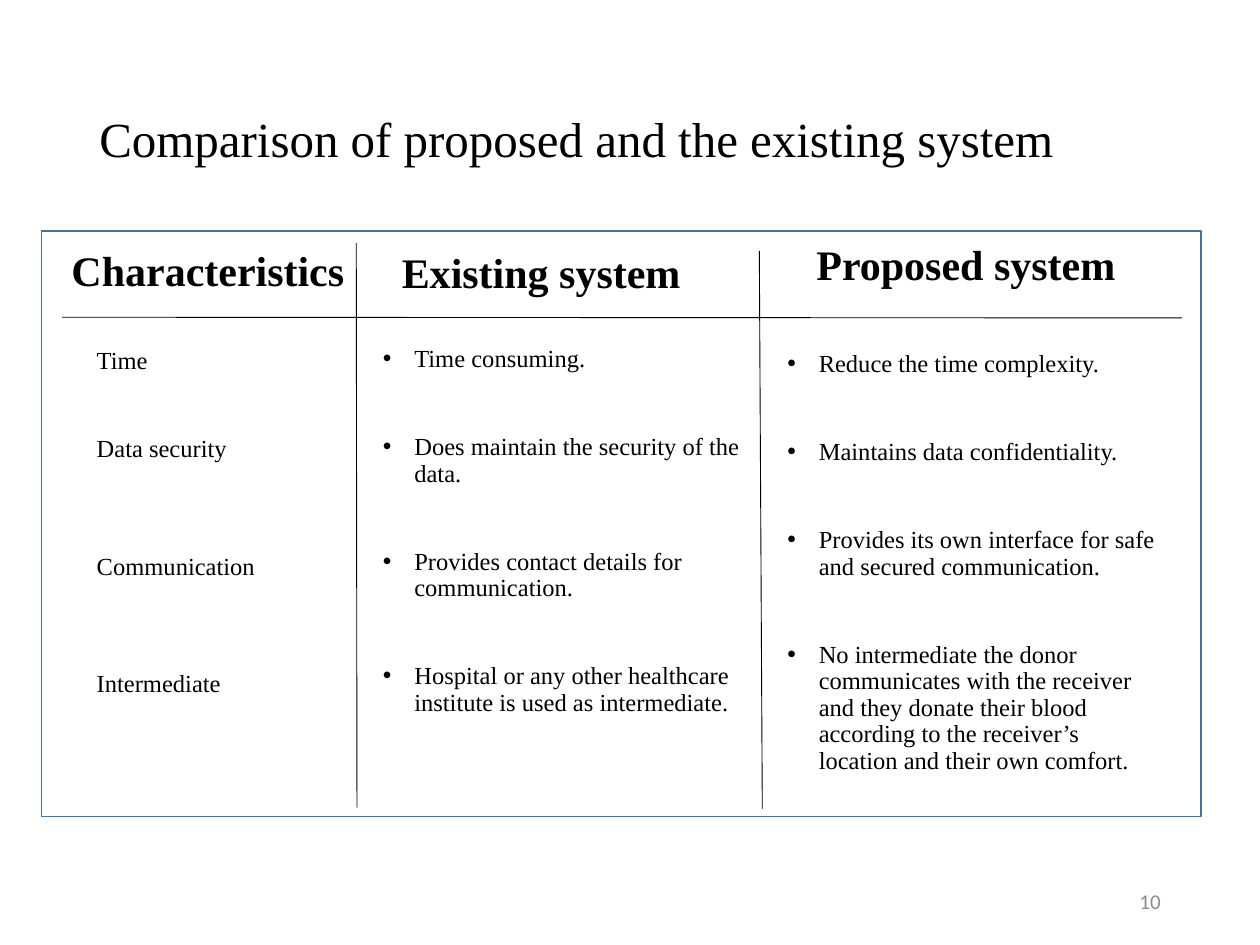
from lxml.etree import SubElement
from pptx import Presentation
from pptx.dml.color import RGBColor
from pptx.enum.shapes import MSO_CONNECTOR, MSO_SHAPE
from pptx.enum.text import MSO_ANCHOR, PP_ALIGN
from pptx.oxml.ns import qn
from pptx.util import Pt

BLACK = RGBColor(0x00, 0x00, 0x00)
GRAY = RGBColor(0x8C, 0x8C, 0x8C)
BLUE = RGBColor(0x43, 0x73, 0x9E)

SERIF = {"name": "Times New Roman", "size": Pt(14), "bold": False}
TITLE = SERIF | {"size": Pt(28)}
HEADING = SERIF | {"size": Pt(24), "bold": True}
PAGE = {"name": "Calibri", "size": Pt(12)}
TIGHT = {"line_spacing": 0.9}
BULLET_INDENT = 18
BULLET_GAP = 35.2

title = "Comparison of proposed and the existing system"
page_number = "10"
characteristics = ["Time", "Data security", "Communication", "Intermediate"]
characteristic_gaps = [0, 33.5, 50.3, 50.3]
existing = [
    "Time consuming.",
    "Does maintain the security of the data.",
    "Provides contact details for communication.",
    "Hospital or any other healthcare institute is used as intermediate.",
]
proposed = [
    "Reduce the time complexity.",
    "Maintains data confidentiality.",
    "Provides its own interface for safe and secured communication.",
    "No intermediate the donor communicates with the receiver and they donate "
    "their blood according to the receiver’s location and their own comfort.",
]
bullet_gaps = [0] + [BULLET_GAP] * (len(existing) - 1)

blocks = [
    ([title], (49.7, 28.8, 620.6, 104.4), TITLE, TIGHT, MSO_ANCHOR.MIDDLE, [0], False),
    (["Existing system"], (222.5, 141.1, 209.5, 32.4), HEADING, TIGHT, MSO_ANCHOR.BOTTOM, [0], False),
    (existing, (211.7, 194.4, 228.2, 290.2), SERIF, TIGHT, MSO_ANCHOR.TOP, bullet_gaps, True),
    (["Proposed system"], (459.4, 132.5, 208.1, 36.7), HEADING,
     TIGHT | {"alignment": PP_ALIGN.JUSTIFY}, MSO_ANCHOR.BOTTOM, [0], False),
    (proposed, (442.8, 197.3, 227.5, 290.2), SERIF, TIGHT, MSO_ANCHOR.TOP, bullet_gaps, True),
    ([page_number], (508.3, 500.4, 162, 28.8), PAGE,
     {"alignment": PP_ALIGN.RIGHT}, MSO_ANCHOR.MIDDLE, [0], False),
    (["Characteristics"], (33.8, 136.1, 184.3, 36), HEADING, {}, MSO_ANCHOR.TOP, [0], False),
    (characteristics, (48.2, 193.7, 168.5, 211), SERIF, {}, MSO_ANCHOR.TOP, characteristic_gaps, False),
]
frame_box = (23.8, 131.8, 662.4, 334.8)
dividers = [
    (203.6, 139, 204, 461.5),
    (433.9, 143.3, 435.6, 462.2),
    (35.3, 181.3, 675.4, 181.7),
]


def points(values):
    return [Pt(value) for value in values]


def apply_format(target, values):
    for name, value in values.items():
        setattr(target, name, value)


def add_bullet(paragraph):
    properties = paragraph._p.get_or_add_pPr()
    properties.set("marL", str(Pt(BULLET_INDENT)))
    properties.set("indent", str(-Pt(BULLET_INDENT)))
    SubElement(properties, qn("a:buFont")).set("typeface", "Arial")
    SubElement(properties, qn("a:buChar")).set("char", "•")


def add_text(slide, lines, box, font, layout, anchor, gaps, bulleted):
    frame = slide.shapes.add_textbox(*points(box)).text_frame
    apply_format(frame, {"word_wrap": True, "vertical_anchor": anchor})
    for index, (line, gap) in enumerate(zip(lines, gaps)):
        paragraph = frame.add_paragraph() if index else frame.paragraphs[0]
        apply_format(paragraph, layout | {"space_before": Pt(gap)})
        if bulleted:
            add_bullet(paragraph)
        run = paragraph.add_run()
        run.text = line
        apply_format(run.font, font)
        run.font.color.rgb = GRAY if font is PAGE else BLACK


def add_divider(slide, ends):
    divider = slide.shapes.add_connector(MSO_CONNECTOR.STRAIGHT, *points(ends))
    divider.line.color.rgb = BLACK
    divider.line.width = Pt(0.5)
    SubElement(divider._element.spPr, qn("a:effectLst"))


def main():
    deck = Presentation()
    apply_format(deck, {"slide_width": Pt(720), "slide_height": Pt(540)})
    slide = deck.slides.add_slide(deck.slide_layouts[6])
    for block in blocks:
        add_text(slide, *block)
    border = slide.shapes.add_shape(MSO_SHAPE.RECTANGLE, *points(frame_box))
    border.shadow.inherit = False
    border.fill.background()
    border.line.color.rgb = BLUE
    border.line.width = Pt(1)
    for ends in dividers:
        add_divider(slide, ends)
    deck.save("out.pptx")


if __name__ == "__main__":
    main()
